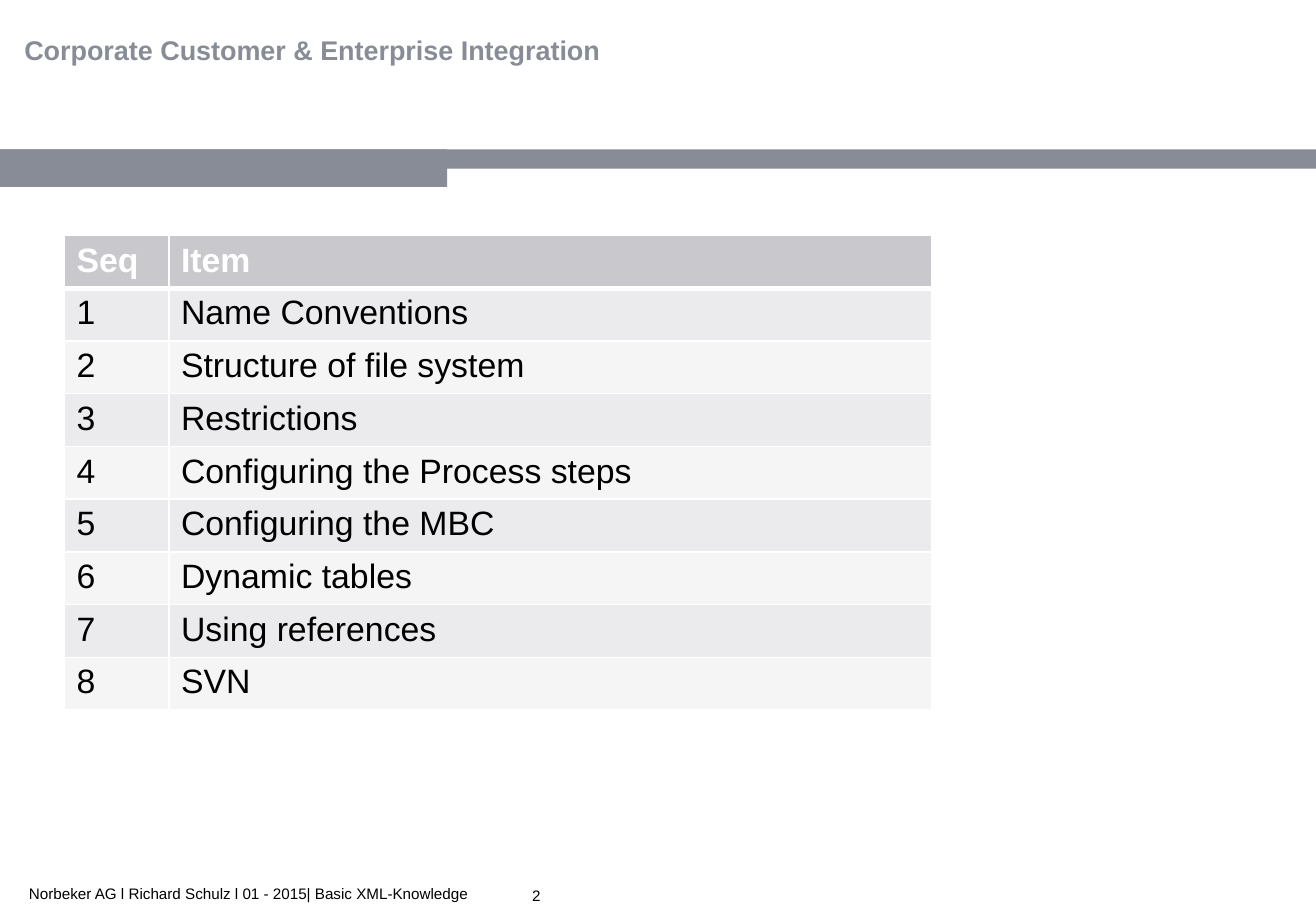
from lxml.etree import SubElement
from pptx import Presentation
from pptx.dml.color import RGBColor
from pptx.enum.shapes import MSO_SHAPE
from pptx.enum.text import MSO_ANCHOR, PP_ALIGN
from pptx.oxml.ns import qn
from pptx.util import Inches, Pt

THEME = {
    "grey": RGBColor.from_string("878C96"),
    "header": RGBColor.from_string("C8C8CD"),
    "bands": [RGBColor.from_string("F5F5F6"), RGBColor.from_string("EBEBED")],
    "border": "FFFFFF",
    "white": RGBColor.from_string("FFFFFF"),
    "black": RGBColor.from_string("000000"),
    "title_size": Pt(16),
    "table_size": Pt(20),
    "footer_size": Pt(9),
}


def write(tf, text, size, color, bold=False):
    tf.word_wrap = True
    p = tf.paragraphs[0]
    p.alignment = PP_ALIGN.LEFT
    r = p.add_run()
    r.text = text
    for name, value in {"name": "Arial", "size": size, "bold": bold}.items():
        setattr(r.font, name, value)
    r.font.color.rgb = color


def add_border(cell, side, width):
    ln = SubElement(cell._tc.get_or_add_tcPr(), qn(f"a:ln{side}"), w=str(Pt(width)))
    fill = SubElement(ln, qn("a:solidFill"))
    SubElement(fill, qn("a:srgbClr"), val=THEME["border"])


prs = Presentation()
prs.slide_width, prs.slide_height = Inches(10.83), Inches(7.5)
s = prs.slides.add_slide(prs.slide_layouts[5])

# Stepped band
for width, height in [(10.83, 0.16), (3.68, 0.31)]:
    sp = s.shapes.add_shape(MSO_SHAPE.RECTANGLE, 0, Inches(1.23), Inches(width), Inches(height))
    sp.shadow.inherit = False
    sp.fill.solid()
    sp.fill.fore_color.rgb = THEME["grey"]
    sp.line.fill.background()

# Title
title = s.shapes.title
title.left, title.top, title.width, title.height = map(Inches, (0.1, 0.23, 5.2, 0.37))
title.text_frame.vertical_anchor = MSO_ANCHOR.TOP
write(title.text_frame, "Corporate Customer & Enterprise Integration",
      THEME["title_size"], THEME["grey"], bold=True)

# Footer and page number
footer = s.shapes.add_textbox(Inches(0.14), Inches(7.23), Inches(4.2), Inches(0.25))
write(footer.text_frame, "Norbeker AG l Richard Schulz l 01 - 2015| Basic XML-Knowledge",
      THEME["footer_size"], THEME["black"])

number = s.shapes.add_textbox(Inches(4.38), Inches(7.32), Inches(2.08), Inches(0.1))
tf = number.text_frame
for side in ("left", "top", "right", "bottom"):
    setattr(tf, f"margin_{side}", 0)
tf.vertical_anchor = MSO_ANCHOR.MIDDLE
write(tf, "2", THEME["footer_size"], THEME["black"])

# Agenda table
items = [
    "Name Conventions",
    "Structure of file system",
    "Restrictions",
    "Configuring the Process steps",
    "Configuring the MBC",
    "Dynamic tables",
    "Using references",
    "SVN",
]
rows = [("Seq", "Item")] + [(str(i), item) for i, item in enumerate(items, 1)]
table = s.shapes.add_table(len(rows), 2, Inches(0.53), Inches(1.94),
                           Inches(7.14), Inches(3.9)).table
table.horz_banding = False
table.columns[0].width, table.columns[1].width = Inches(0.86), Inches(6.28)

for i, row in enumerate(rows):
    is_header = i == 0
    for j, text in enumerate(row):
        cell = table.cell(i, j)
        widths = {"L": 1, "R": 1, "T": 3 if i == 1 else 1, "B": 3 if is_header else 1}
        for side, width in widths.items():
            add_border(cell, side, width)
        cell.fill.solid()
        cell.fill.fore_color.rgb = THEME["header"] if is_header else THEME["bands"][i % 2]
        write(cell.text_frame, text, THEME["table_size"],
              THEME["white"] if is_header else THEME["black"], bold=is_header)

prs.save("out.pptx")
